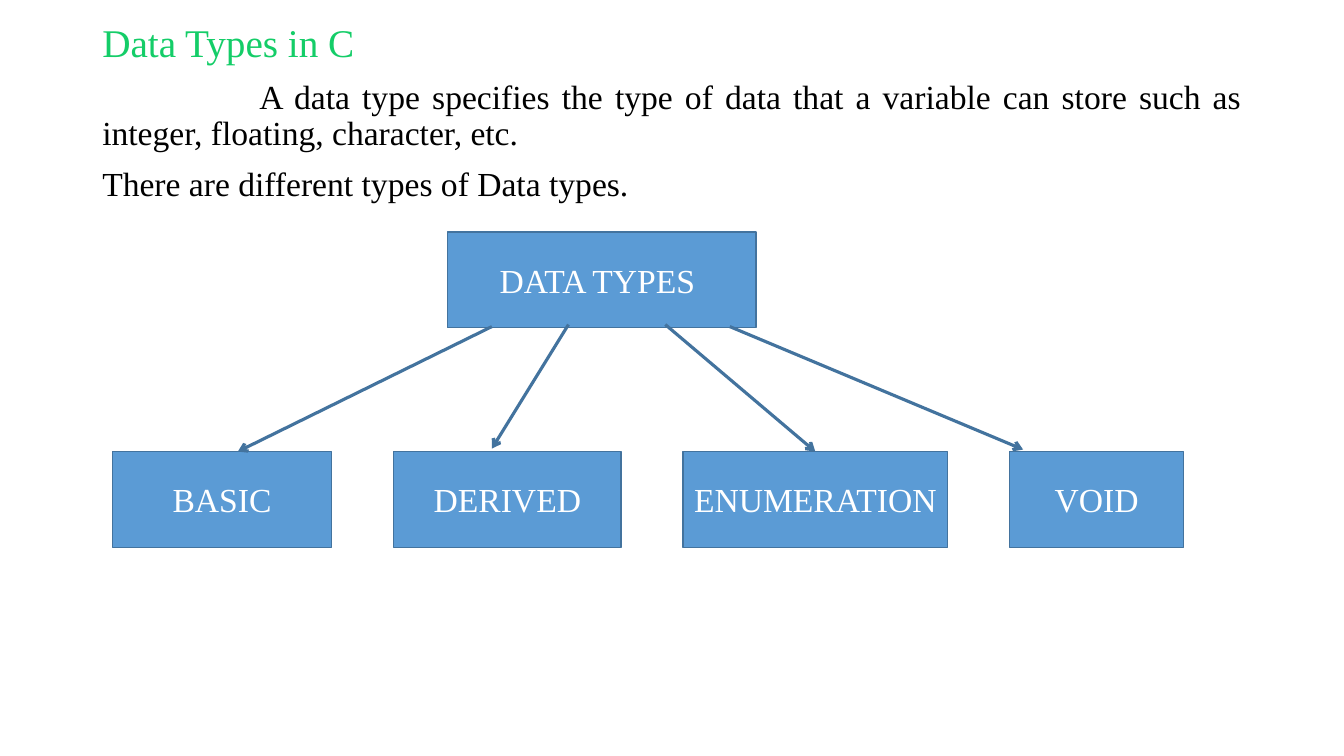
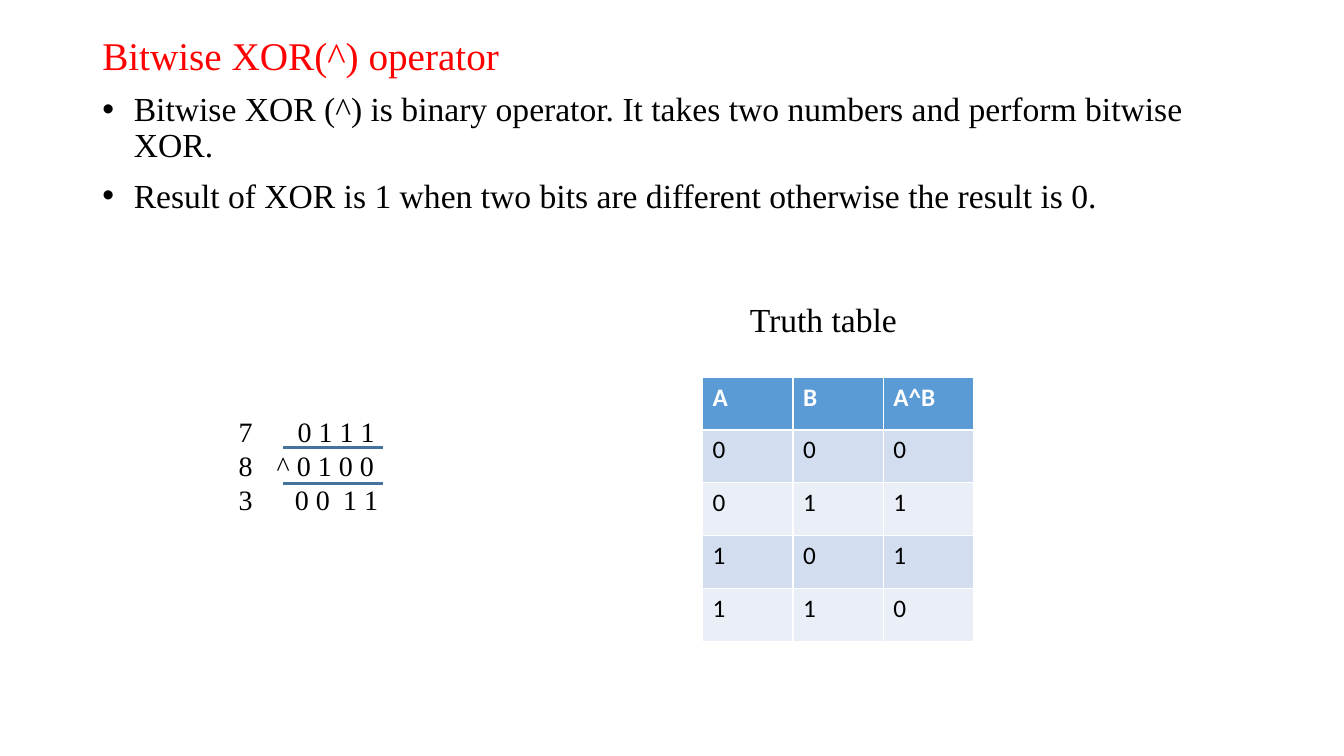
import dataclasses

import pptx
import pptx.dml.color
import pptx.enum.shapes
import pptx.enum.text
import pptx.oxml.ns
import pptx.util
from lxml import etree

RGB = pptx.dml.color.RGBColor.from_string
ALIGN = pptx.enum.text.PP_ALIGN
STRAIGHT = pptx.enum.shapes.MSO_CONNECTOR.STRAIGHT


@dataclasses.dataclass(frozen=True)
class Theme:
    serif: str = "Times New Roman"
    sans: str = "Calibri"
    green: str = "14CD68"
    red: str = "FF0000"
    ink: str = "000000"
    white: str = "FFFFFF"
    blue: str = "5B9BD5"
    outline: str = "43739E"
    stripes: tuple = ("EAEFF7", "D2DEEF")
    heading: int = 28
    body: int = 24
    working: int = 20
    cell: int = 18


theme = Theme()
COLUMNS, ROWS = 80, 45
deck = pptx.Presentation()
deck.slide_width = pptx.util.Inches(40 / 3)
deck.slide_height = pptx.util.Inches(7.5)
unit = deck.slide_width / COLUMNS


def grid(*counts):
    return [pptx.util.Emu(round(count * unit)) for count in counts]


def write(paragraph, text, size, color, font=theme.serif, left=0, indent=0, bullet="", tabs=()):
    properties = paragraph._p.get_or_add_pPr()
    if left or indent:
        properties.set("marL", str(grid(left)[0]))
        properties.set("indent", str(grid(indent)[0]))
    if bullet:
        etree.SubElement(properties, pptx.oxml.ns.qn("a:buFont"), typeface="Arial")
        etree.SubElement(properties, pptx.oxml.ns.qn("a:buChar"), char=bullet)
    if tabs:
        stops = etree.SubElement(properties, pptx.oxml.ns.qn("a:tabLst"))
        for stop in grid(*tabs):
            etree.SubElement(stops, pptx.oxml.ns.qn("a:tab"), pos=str(stop), algn="l")
    paragraph.add_run().text = text
    paragraph.font.name = font
    paragraph.font.size = pptx.util.Pt(size)
    paragraph.font.color.rgb = RGB(color)


topics = [
    (1.14, 42.6, ALIGN.JUSTIFY, "Data Types in C", theme.green, [
        ("A data type specifies the type of data that a variable can store such as "
         "integer, floating, character, etc.", {"indent": 9.36}),
        ("There are different types of Data types.", {}),
    ]),
    (1.86, 38.7, ALIGN.LEFT, "Bitwise XOR(^) operator", theme.red, [
        (point, {"left": 1.88, "indent": -1.88, "bullet": "•"}) for point in (
            "Bitwise XOR (^) is binary operator. It takes two numbers and perform bitwise XOR.",
            "Result of XOR is 1 when two bits are different otherwise the result is 0.",
        )
    ]),
]
slides = []
for top, height, alignment, heading, color, points in topics:
    slide = deck.slides.add_slide(deck.slide_layouts[6])
    slides.append(slide)
    frame = slide.shapes.add_textbox(*grid(5.5, top, 69, height)).text_frame
    frame.word_wrap = True
    write(frame.paragraphs[0], heading, theme.heading, color)
    for text, layout in points:
        point = frame.add_paragraph()
        point.space_before = pptx.util.Pt(10)
        write(point, text, theme.body, theme.ink, **layout)
    for paragraph in frame.paragraphs:
        paragraph.alignment = alignment
        paragraph.line_spacing = 0.9

types_slide, xor_slide = slides
NODE_HEIGHT, NODE_GAP = 5.7, 3.7
nodes = [("DATA TYPES ", 26.62, 13.8, 18.38)]
left = 6.7
for label, width in (("BASIC", 13.04), ("DERIVED", 13.52), ("ENUMERATION", 15.74), ("VOID", 10.34)):
    nodes.append((label, left, 26.88, width))
    left += width + NODE_GAP

boxes = {}
for label, left, top, width in nodes:
    box = types_slide.shapes.add_shape(
        pptx.enum.shapes.MSO_SHAPE.RECTANGLE, *grid(left, top, width, NODE_HEIGHT))
    box.shadow.inherit = False
    box.fill.solid()
    box.fill.fore_color.rgb = RGB(theme.blue)
    box.line.color.rgb = RGB(theme.outline)
    box.line.width = pptx.util.Pt(1)
    frame = box.text_frame
    frame.margin_left = frame.margin_right = 0
    frame.vertical_anchor = pptx.enum.text.MSO_ANCHOR.MIDDLE
    frame.paragraphs[0].alignment = ALIGN.CENTER
    write(frame.paragraphs[0], label, theme.body, theme.white)
    boxes[label] = box

strokes = []
for ends in ((29.28, 19.44, 14.16, 26.88), (43.44, 19.44, 60.9, 26.76),
             (33.84, 19.32, 29.28, 26.7), (39.6, 19.32, 48.48, 26.88)):
    strokes.append((types_slide.shapes.add_connector(STRAIGHT, *grid(*ends)), True))
strokes[-1][0].end_connect(boxes["ENUMERATION"], 0)

truth = [("A", "B", "A^B")] + [(str(a), str(b), str(a ^ b)) for a in (0, 1) for b in (0, 1)]
truth_table = xor_slide.shapes.add_table(
    len(truth), 3, *grid(41.82, 22.44, 16.14, 15.75)).table
for row, values in enumerate(truth):
    for column, value in enumerate(values):
        cell = truth_table.cell(row, column)
        cell.fill.solid()
        cell.fill.fore_color.rgb = RGB(theme.stripes[row % 2] if row else theme.blue)
        entry = cell.text_frame.paragraphs[0]
        write(entry, value, theme.cell, theme.ink if row else theme.white, theme.sans)
        entry.font.bold = row == 0

caption = xor_slide.shapes.add_textbox(*grid(44.04, 17.52, 11.7, 3)).text_frame
caption.word_wrap = True
write(caption.paragraphs[0], "Truth table", theme.body, theme.ink)

working = xor_slide.shapes.add_textbox(*grid(13.62, 24.4, 14.46, 6.6)).text_frame
working.word_wrap = True
for index, (text, tabs) in enumerate((
        ("7\t0 1 1 1", (3.5,)), ("8\t^ 0 1 0 0", (2.26,)), ("3\t0 0\t1 1", (3.34, 6.22)))):
    line = working.add_paragraph() if index else working.paragraphs[0]
    write(line, text, theme.working, theme.ink, tabs=tabs)

for level in (26.64, 28.8):
    strokes.append((xor_slide.shapes.add_connector(
        STRAIGHT, *grid(16.86, level, 22.8, level)), False))

for stroke, has_head in strokes:
    stroke.line.color.rgb = RGB(theme.outline)
    stroke.line.width = pptx.util.Pt(2.25)
    if has_head:
        etree.SubElement(stroke.line._get_or_add_ln(), pptx.oxml.ns.qn("a:tailEnd"), type="arrow")
    etree.SubElement(stroke._element.spPr, pptx.oxml.ns.qn("a:effectLst"))

deck.save("out.pptx")
